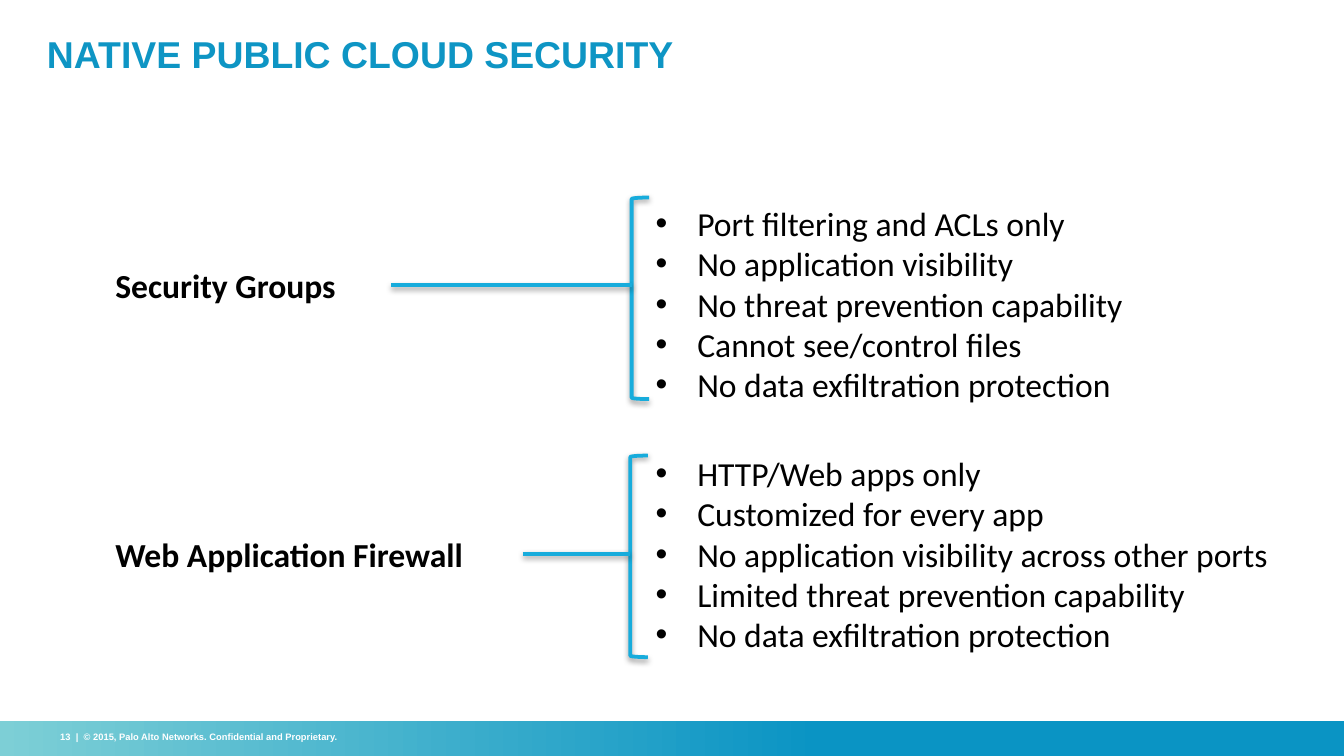
from dataclasses import dataclass

from lxml.etree import SubElement
from pptx import Presentation
from pptx.dml.color import RGBColor
from pptx.enum.shapes import MSO_CONNECTOR, MSO_SHAPE
from pptx.enum.text import MSO_ANCHOR
from pptx.oxml.ns import qn
from pptx.util import Inches, Pt

SLIDE_WIDTH = 10
SLIDE_HEIGHT = SLIDE_WIDTH * 9 / 16
BAR_HEIGHT = 0.26

COLORS = {
    "title": "0E95C4",
    "text": "000000",
    "footer": "FFFFFF",
    "bracket": "17ACDC",
    "shadow": "000000",
    "bar_dark": "0A94C4",
    "bar_light": "7DCFD6",
}


@dataclass
class TextStyle:
    font: str
    size: float
    color: str
    bold: bool = False


@dataclass
class Control:
    name: str
    name_width: float
    middle: float
    line_start: float
    bracket_left: float
    bracket_top: float
    limits_top: float
    limits_width: float
    limits: list[str]


TITLE = TextStyle("Arial", 20, "title", True)
FOOTER = TextStyle("Arial", 5, "footer", True)
CONTROL_NAME = TextStyle("Calibri", 18, "text", True)
LIMIT = TextStyle("Calibri", 18, "text")

CONTROLS = [
    Control("Security Groups", 1.85, 2.12, 2.91, 4.7, 1.47, 1.46, 3.72, [
        "Port filtering and ACLs only",
        "No application visibility",
        "No threat prevention capability",
        "Cannot see/control files",
        "No data exfiltration protection",
    ]),
    Control("Web Application Firewall", 3.46, 4.12, 3.89, 4.69, 3.39, 3.32, 4.81, [
        "HTTP/Web apps only",
        "Customized for every app",
        "No application visibility across other ports",
        "Limited threat prevention capability",
        "No data exfiltration protection",
    ]),
]


def rgb(name: str) -> RGBColor:
    return RGBColor.from_string(COLORS[name])


def add_bullet(paragraph) -> None:
    properties = paragraph._p.get_or_add_pPr()
    properties.set("marL", str(Inches(0.31)))
    properties.set("indent", str(-Inches(0.31)))
    SubElement(properties, qn("a:buFont"), typeface="Arial")
    SubElement(properties, qn("a:buChar"), char="•")


def add_text(slide, left: float, top: float, width: float, height: float,
             lines: list[str], style: TextStyle, bullets: bool = False,
             wrap: bool = True, inset: bool = True):
    box = slide.shapes.add_textbox(
        Inches(left), Inches(top), Inches(width), Inches(height))
    frame = box.text_frame
    frame.word_wrap = wrap
    if not inset:
        frame.margin_left = frame.margin_right = 0
        frame.margin_top = frame.margin_bottom = 0
    for index, line in enumerate(lines):
        paragraph = frame.add_paragraph() if index else frame.paragraphs[0]
        if bullets:
            add_bullet(paragraph)
        run = paragraph.add_run()
        run.text = line
        run.font.name = style.font
        run.font.size = Pt(style.size)
        run.font.bold = style.bold
        run.font.color.rgb = rgb(style.color)
    return frame


def style_stroke(stroke) -> None:
    stroke.line.color.rgb = rgb("bracket")
    stroke.line.width = Pt(2)
    effects = SubElement(stroke._element.spPr, qn("a:effectLst"))
    shadow = SubElement(effects, qn("a:outerShdw"), blurRad=str(Pt(3.1)),
                        dist=str(Pt(1.6)), dir="5400000", rotWithShape="0")
    color = SubElement(shadow, qn("a:srgbClr"), val=COLORS["shadow"])
    SubElement(color, qn("a:alpha"), val="38000")


def add_footer(slide) -> None:
    bar_top = SLIDE_HEIGHT - BAR_HEIGHT
    bar = slide.shapes.add_shape(
        MSO_SHAPE.RECTANGLE, 0, Inches(bar_top),
        Inches(SLIDE_WIDTH), Inches(BAR_HEIGHT))
    bar.shadow.inherit = False
    bar.line.fill.background()
    bar.fill.gradient()
    bar.fill.gradient_angle = 180
    stops = [("bar_dark", 0.39), ("bar_light", 1)]
    for stop, (color, position) in zip(bar.fill.gradient_stops, stops):
        stop.color.rgb = rgb(color)
        stop.position = position
    frame = add_text(
        slide, 0.35, bar_top, 3.76, 0.24,
        ["13  |  © 2015, Palo Alto Networks. Confidential and Proprietary."],
        FOOTER)
    frame.vertical_anchor = MSO_ANCHOR.MIDDLE


def add_control(slide, control: Control) -> None:
    add_text(slide, 0.76, control.middle - 0.2, control.name_width, 0.4,
             [control.name], CONTROL_NAME, wrap=False)
    add_text(slide, 4.78, control.limits_top, control.limits_width, 1.62,
             control.limits, LIMIT, bullets=True, wrap=False)
    bracket = slide.shapes.add_shape(
        MSO_SHAPE.LEFT_BRACKET, Inches(control.bracket_left),
        Inches(control.bracket_top), Inches(0.13), Inches(1.5))
    bracket.fill.background()
    style_stroke(bracket)
    link = slide.shapes.add_connector(
        MSO_CONNECTOR.STRAIGHT, Inches(control.line_start),
        Inches(control.middle), Inches(control.bracket_left),
        Inches(control.middle))
    style_stroke(link)


def main() -> None:
    presentation = Presentation()
    presentation.slide_width = Inches(SLIDE_WIDTH)
    presentation.slide_height = Inches(SLIDE_HEIGHT)
    slide = presentation.slides.add_slide(presentation.slide_layouts[6])
    add_footer(slide)
    add_text(slide, 0.35, 0.23, 9.26, 0.36,
             ["NATIVE PUBLIC CLOUD SECURITY"], TITLE, inset=False)
    for control in CONTROLS:
        add_control(slide, control)
    presentation.save("out.pptx")


if __name__ == "__main__":
    main()
